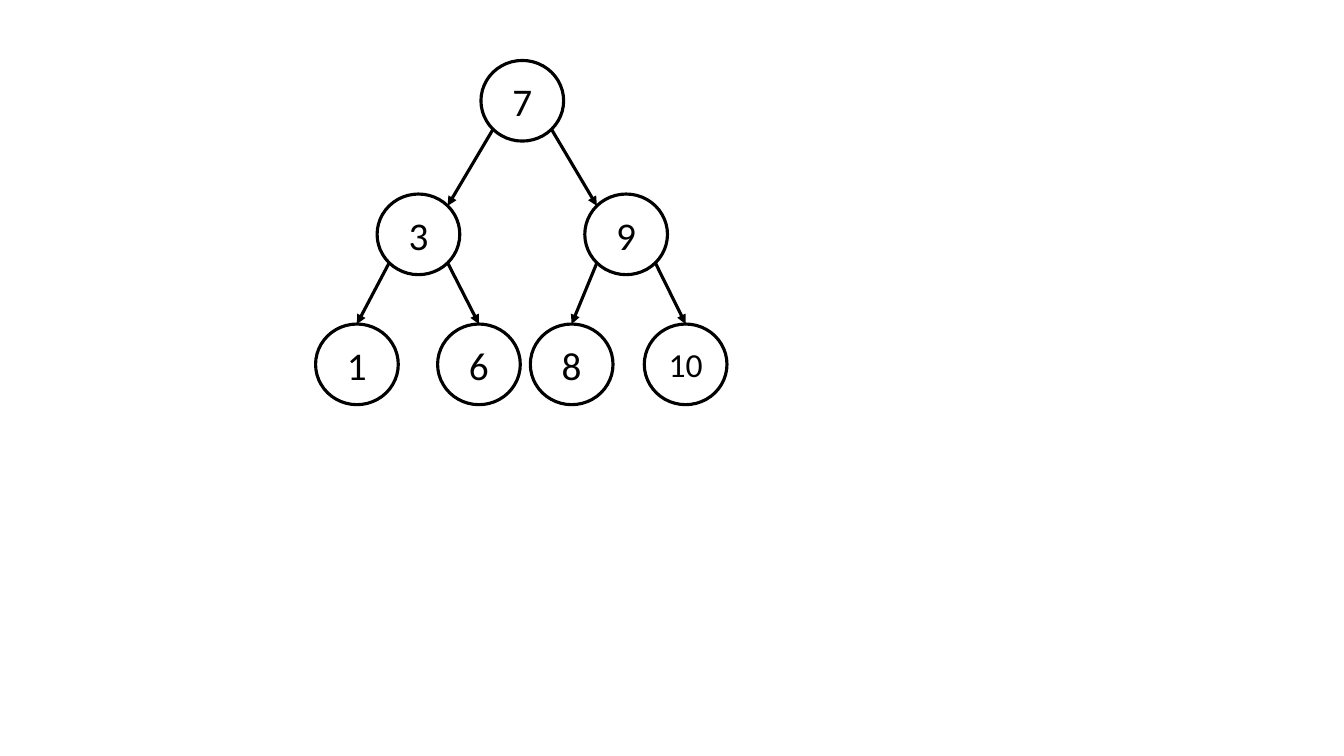
"""Draw a binary search tree of seven nodes."""
from dataclasses import dataclass
from math import copysign, sqrt

from lxml.etree import SubElement
from pptx import Presentation
from pptx.dml.color import RGBColor
from pptx.enum.shapes import MSO_CONNECTOR, MSO_SHAPE
from pptx.enum.text import MSO_ANCHOR, PP_ALIGN
from pptx.oxml.ns import qn
from pptx.slide import Slide
from pptx.util import Inches, Pt

OVAL = MSO_SHAPE.OVAL
STRAIGHT = MSO_CONNECTOR.STRAIGHT
MIDDLE = MSO_ANCHOR.MIDDLE
CENTER = PP_ALIGN.CENTER
BLACK = RGBColor(0, 0, 0)
FONT = "Calibri"
STROKE = Pt(2.25)
UNIT = Inches(0.1)
WIDE, HIGH = 8.2, 8.0
ROWS = (10.0, 23.25, 36.15)
LEAF = len(ROWS) - 1


@dataclass(frozen=True)
class Node:
    """A key, its level, its centre column and its children."""
    key: int
    level: int
    col: float
    kids: tuple["Node", ...] = ()
    size: int = 28


TREE = Node(7, 0, 51.8, (
    Node(3, 1, 41.5, (Node(1, 2, 35.4), Node(6, 2, 47.5))),
    Node(9, 1, 62.1, (Node(8, 2, 56.7), Node(10, 2, 68.0, size=24))),
))


def grid(count: float) -> int:
    """Turn a count of grid units into a length."""
    return round(count * UNIT)


def draw_node(slide: Slide, node: Node) -> None:
    """Draw the circle of a node with its key."""
    oval = slide.shapes.add_shape(
        OVAL, grid(node.col - WIDE / 2), grid(ROWS[node.level] - HIGH / 2),
        grid(WIDE), grid(HIGH))
    oval.shadow.inherit = False
    oval.fill.background()
    oval.line.color.rgb = BLACK
    oval.line.width = STROKE
    frame = oval.text_frame
    frame.word_wrap = True
    frame.vertical_anchor = MIDDLE
    para = frame.paragraphs[0]
    para.alignment = CENTER
    run = para.add_run()
    run.text = str(node.key)
    run.font.name = FONT
    run.font.size = Pt(node.size)
    run.font.color.rgb = BLACK


def draw_edge(slide: Slide, top: Node, kid: Node) -> None:
    """Draw the arrow from a node to its child."""
    side = copysign(1, kid.col - top.col)
    dx, dy = side * WIDE / 2 / sqrt(2), HIGH / 2 / sqrt(2)
    end_x, end_y = kid.col, ROWS[kid.level] - HIGH / 2
    if kid.level < LEAF:
        end_x, end_y = kid.col - dx, ROWS[kid.level] - dy
    edge = slide.shapes.add_connector(
        STRAIGHT, grid(top.col + dx), grid(ROWS[top.level] + dy),
        grid(end_x), grid(end_y))
    edge.line.color.rgb = BLACK
    edge.line.width = STROKE
    SubElement(edge.line._get_or_add_ln(), qn("a:tailEnd"), type="triangle")
    SubElement(edge._element.spPr, qn("a:effectLst"))


def draw_tree(slide: Slide, node: Node) -> None:
    """Draw a node and all that hangs below it."""
    draw_node(slide, node)
    for kid in node.kids:
        draw_edge(slide, node, kid)
        draw_tree(slide, kid)


def main() -> None:
    """Build and save the slide."""
    deck = Presentation()
    deck.slide_width = Inches(13.33)
    deck.slide_height = Inches(7.5)
    slide = deck.slides.add_slide(deck.slide_layouts[6])
    draw_tree(slide, TREE)
    deck.save("out.pptx")


if __name__ == "__main__":
    main()
